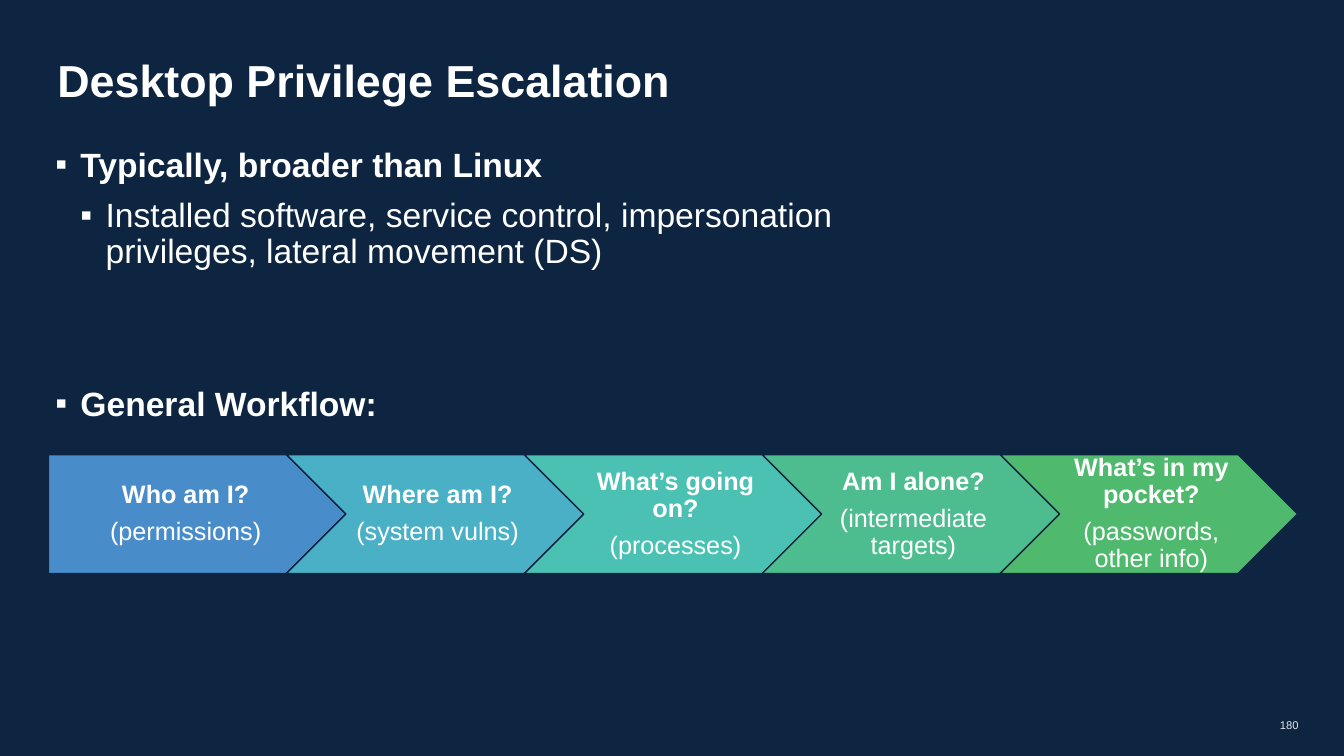
from dataclasses import dataclass

from lxml.etree import SubElement
from pptx import Presentation
from pptx.dml.color import RGBColor
from pptx.enum.shapes import MSO_SHAPE
from pptx.enum.text import MSO_ANCHOR, PP_ALIGN
from pptx.oxml.ns import qn
from pptx.util import Inches, Pt


@dataclass(frozen=True)
class Theme:
    font: str = "Arial"
    background: str = "0D2541"
    text: str = "FFFFFF"
    page_number: str = "E6E6E6"
    title_size: int = 32
    body_size: int = 24
    step_size: int = 18
    page_size: int = 8
    line_spacing: float = 0.9


theme = Theme()


def style(paragraph, size, bold=False, color=theme.text):
    paragraph.line_spacing = theme.line_spacing
    paragraph.font.name = theme.font
    paragraph.font.size = Pt(size)
    paragraph.font.bold = bold
    paragraph.font.color.rgb = RGBColor.from_string(color)


def add_text_area(left, top, width, height, anchor):
    area = slide.shapes.add_textbox(Inches(left), Inches(top), Inches(width), Inches(height))
    frame = area.text_frame
    frame.word_wrap = True
    frame.vertical_anchor = anchor
    return frame


deck = Presentation()
deck.slide_width = Inches(13.33)
deck.slide_height = Inches(7.5)
slide = deck.slides.add_slide(deck.slide_layouts[6])
slide.background.fill.solid()
slide.background.fill.fore_color.rgb = RGBColor.from_string(theme.background)

# Page number
page_number = add_text_area(12.2, 7, 0.68, 0.4, MSO_ANCHOR.MIDDLE)
page_number.margin_left = page_number.margin_right = 0
page_number.margin_top = page_number.margin_bottom = 0
page_number.text = "180"
page_number.paragraphs[0].alignment = PP_ALIGN.RIGHT
style(page_number.paragraphs[0], theme.page_size, color=theme.page_number)

# Title
title = add_text_area(0.47, 0.42, 12.41, 0.8, MSO_ANCHOR.MIDDLE)
title.text = "Desktop Privilege Escalation"
style(title.paragraphs[0], theme.title_size, bold=True)

# Bullets: text, level, space before in points
bullets = [
    ("Typically, broader than Linux", 0, 0),
    ("Installed software, service control, impersonation privileges, "
     "lateral movement (DS)", 1, 5),
    ("General Workflow:", 0, 78),
]
indent = Inches(0.25)
body = add_text_area(0.45, 1.42, 8.17, 5.33, MSO_ANCHOR.TOP)
body.text = "\n".join(text for text, _, _ in bullets)
for bullet, (_, level, space_before) in zip(body.paragraphs, bullets):
    bullet.level = level
    bullet.space_before = Pt(space_before)
    bullet.space_after = Pt(5)
    properties = bullet._p.get_or_add_pPr()
    properties.set("marL", str(indent * (level + 1)))
    properties.set("indent", str(-indent))
    SubElement(properties, qn("a:buFont")).set("typeface", theme.font)
    SubElement(properties, qn("a:buChar")).set("char", "▪")
    style(bullet, theme.body_size, bold=level == 0)

# Workflow: question, what it covers, fill
workflow = [
    ("Who am I?", "(permissions)", "488DC9"),
    ("Where am I?", "(system vulns)", "4AB0C5"),
    ("What’s going on?", "(processes)", "4BC1B3"),
    ("Am I alone?", "(intermediate targets)", "4DBD8F"),
    ("What’s in my pocket?", "(passwords, other info)", "4FB96E"),
]
step_width = Inches(2.95)
step_pitch = int(step_width * 0.8)
for column, (question, scope, fill) in enumerate(workflow):
    step = slide.shapes.add_shape(
        MSO_SHAPE.CHEVRON if column else MSO_SHAPE.PENTAGON,
        Inches(0.48) + column * step_pitch, Inches(4.51), step_width, Inches(1.18))
    step.shadow.inherit = False
    step.fill.solid()
    step.fill.fore_color.rgb = RGBColor.from_string(fill)
    step.line.color.rgb = RGBColor.from_string(theme.background)
    step.line.width = Pt(1)

    label = step.text_frame
    label.word_wrap = True
    label.vertical_anchor = MSO_ANCHOR.MIDDLE
    label.margin_left = Inches(0.08 if column else 0.1)
    label.margin_right = Inches(0.03)
    label.margin_top = label.margin_bottom = Inches(0.05)
    label.text = f"{question}\n{scope}"
    for row, line in enumerate(label.paragraphs):
        line.alignment = PP_ALIGN.CENTER
        line.space_after = Pt(7)
        style(line, theme.step_size, bold=row == 0)

deck.save("out.pptx")
